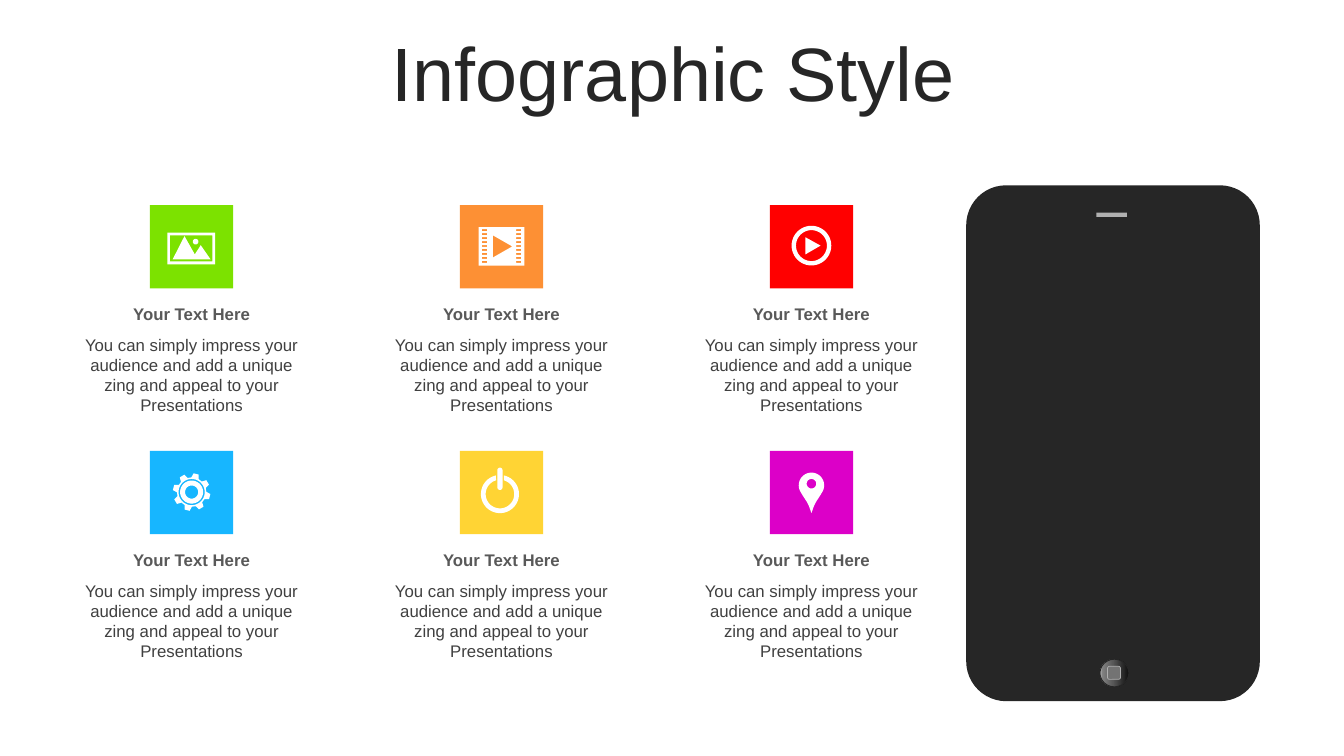
from copy import deepcopy
from math import cos, radians, sin

from pptx import Presentation
from pptx.dml.color import RGBColor
from pptx.enum.shapes import MSO_SHAPE as Preset
from pptx.enum.text import MSO_ANCHOR as Anchor, MSO_AUTO_SIZE as AutoSize, PP_ALIGN as Align
from pptx.util import Cm, Pt

# Colours
WHITE = RGBColor(0xFF, 0xFF, 0xFF)
INK = RGBColor(0x26, 0x26, 0x26)
HEADING = RGBColor(0x59, 0x59, 0x59)
BODY = RGBColor(0x40, 0x40, 0x40)
SILVER = RGBColor(0xB0, 0xB0, 0xB0)
KEY_GREY = RGBColor(0x73, 0x73, 0x73)
GREEN = RGBColor(0x7C, 0xE2, 0x00)
ORANGE = RGBColor(0xFD, 0x90, 0x34)
RED = RGBColor(0xFF, 0x00, 0x00)
BLUE = RGBColor(0x17, 0xB6, 0xFF)
YELLOW = RGBColor(0xFF, 0xD4, 0x34)
MAGENTA = RGBColor(0xDC, 0x00, 0xC8)
BUTTON_STOPS = [
    (0, RGBColor(0x0F, 0x0F, 0x0F)),
    (0.56, RGBColor(0x59, 0x59, 0x59)),
    (0.91, RGBColor(0x80, 0x80, 0x80)),
    (1, RGBColor(0xBF, 0xBF, 0xBF)),
]

# Grid, in centimetres
FIRST_X, FIRST_Y = 4.83, 6.22
STEP_X, STEP_Y = 7.81, 6.19
TILE, TEXT_WIDTH = 2.1, 6.1
HEADING_DROP, BODY_DROP = 1.32, 2.09

BLURB = ("You can simply impress your audience and add a unique "
         "zing and appeal to your Presentations")


# Icon outlines: lists of points in centimetres around the tile centre
def polar(x, y, radius, angle):
    return x + radius * cos(radians(angle)), y + radius * sin(radians(angle))


def arc(x, y, radius, start=0, end=360, steps=48):
    return [polar(x, y, radius, start + (end - start) * i / steps) for i in range(steps + 1)]


def rect(x, y, width, height):
    return [(x + sx * width / 2, y + sy * height / 2)
            for sx, sy in ((-1, -1), (1, -1), (1, 1), (-1, 1))]


def photo_icon():
    hills = [(-0.18, -0.27), (0.08, 0.19), (0.23, -0.04), (0.48, 0.32), (-0.48, 0.32)]
    return [rect(-0.01, 0.04, 1.2, 0.8), rect(-0.01, 0.04, 1.07, 0.66),
            hills, arc(0.1, -0.13, 0.07)]


def film_icon():
    slots = [rect(x, -0.42 + 0.1 * i, 0.13, 0.05) for x in (-0.43, 0.43) for i in range(9)]
    return [rect(0, -0.01, 1.15, 0.97), [(-0.22, -0.29), (0.27, -0.01), (-0.22, 0.27)], *slots]


def play_icon():
    return [arc(0, -0.03, 0.5), arc(0, -0.03, 0.39),
            [(-0.15, -0.24), (0.23, -0.03), (-0.15, 0.19)]]


def gear_icon():
    x, y = 0, -0.01
    tooth = [(-15, 0.37), (-8, 0.475), (8, 0.475), (15, 0.37)]
    teeth = [polar(x, y, radius, 45 * i - 76 + turn) for i in range(8) for turn, radius in tooth]
    return [teeth, *(arc(x, y, radius) for radius in (0.33, 0.29, 0.165))]


def power_icon():
    x, y = -0.04, 0.04
    ring = arc(x, y, 0.48, -78, 258) + arc(x, y, 0.36, 254, -74)
    bar = arc(x, -0.56, 0.065, 180, 360) + arc(x, -0.13, 0.065, 0, 180)
    return [ring, bar]


def pin_icon():
    side = [(0.23, 0.06), (0.12, 0.23), (0.06, 0.35)]
    mirrored = [(-x, y) for x, y in reversed(side)]
    return [arc(0, -0.18, 0.32, 150, 390) + side + [(0, 0.52)] + mirrored,
            arc(0, -0.22, 0.12)]


class SlideBuilder:
    font_name = "Arial"

    def __init__(self, page):
        self.page = page

    def fill_text(self, frame, text, size, color, bold=False, **para_format):
        frame.word_wrap = True
        para = frame.paragraphs[0]
        for name, value in {"alignment": Align.CENTER, **para_format}.items():
            setattr(para, name, value)
        span = para.add_run()
        span.text = text
        for name, value in {"name": self.font_name, "size": Pt(size), "bold": bold}.items():
            setattr(span.font, name, value)
        span.font.color.rgb = color

    def title(self, text, left, top, width, height):
        box = self.page.shapes.title
        place = {"left": left, "top": top, "width": width, "height": height}
        for name, value in place.items():
            setattr(box, name, Cm(value))
        box.text_frame.auto_size = AutoSize.NONE
        box.text_frame.vertical_anchor = Anchor.MIDDLE
        self.fill_text(box.text_frame, text, 54, INK, line_spacing=0.9, space_before=Pt(0))

    def text(self, text, left, top, width, height, color, bold=False):
        box = self.page.shapes.add_textbox(Cm(left), Cm(top), Cm(width), Cm(height))
        self.fill_text(box.text_frame, text, 12, color, bold)

    def shape(self, preset, left, top, width, height, fill=None, line=None, weight=0, radius=None):
        box = self.page.shapes.add_shape(preset, Cm(left), Cm(top), Cm(width), Cm(height))
        self.finish(box, fill, line, weight)
        if radius is not None:
            box.adjustments[0] = radius
        return box

    def finish(self, box, fill, line=None, weight=0):
        box.shadow.inherit = False
        if fill is not None:
            box.fill.solid()
            box.fill.fore_color.rgb = fill
        if line is None:
            box.line.fill.background()
        else:
            box.line.color.rgb = line
            box.line.width = Pt(weight)

    def gradient(self, box, stops, angle):
        box.fill.gradient()
        box.fill.gradient_angle = angle
        first = box.fill.gradient_stops[0]._gs
        stop_list = first.getparent()
        while len(stop_list) < len(stops):
            stop_list.append(deepcopy(first))
        for stop, (position, color) in zip(box.fill.gradient_stops, stops):
            stop.position = position
            stop.color.rgb = color

    def icon(self, outlines, x, y):
        contours = [[(round((x + dx) * 1000), round((y + dy) * 1000)) for dx, dy in outline]
                    for outline in outlines]
        builder = self.page.shapes.build_freeform(*contours[0][0], scale=Cm(0.001))
        for i, contour in enumerate(contours):
            if i:
                builder.move_to(*contour[0])
            builder.add_line_segments(contour[1:], close=True)
        self.finish(builder.convert_to_shape(), WHITE)

    def feature(self, x, y, color, outlines):
        self.shape(Preset.RECTANGLE, x - TILE / 2, y - TILE / 2, TILE, TILE, color)
        self.icon(outlines, x, y)
        left = x - TEXT_WIDTH / 2
        self.text("Your Text Here", left, y + HEADING_DROP, TEXT_WIDTH, 0.77, HEADING, True)
        self.text(BLURB, left, y + BODY_DROP, TEXT_WIDTH, 2.31, BODY)

    def phone(self):
        self.shape(Preset.ROUNDED_RECTANGLE, 24.35, 4.67, 7.4, 13, INK, radius=0.136)
        self.shape(Preset.RECTANGLE, 27.63, 5.36, 0.77, 0.11, SILVER)
        button = self.shape(Preset.OVAL, 27.72, 16.61, 0.73, 0.7, line=INK)
        self.gradient(button, BUTTON_STOPS, 180)
        self.shape(Preset.ROUNDED_RECTANGLE, 27.91, 16.79, 0.33, 0.33, KEY_GREY, SILVER, 0.5)


def main():
    deck = Presentation()
    deck.slide_width, deck.slide_height = Cm(33.87), Cm(19.05)
    builder = SlideBuilder(deck.slides.add_slide(deck.slide_layouts[5]))

    # Phone and title
    builder.phone()
    builder.title("Infographic Style", 0.89, 0.94, 32.16, 2.01)

    # Features, three to a row
    features = [(GREEN, photo_icon), (ORANGE, film_icon), (RED, play_icon),
                (BLUE, gear_icon), (YELLOW, power_icon), (MAGENTA, pin_icon)]
    for i, (color, outline) in enumerate(features):
        row, column = divmod(i, 3)
        builder.feature(FIRST_X + column * STEP_X, FIRST_Y + row * STEP_Y, color, outline())

    deck.save("out.pptx")


if __name__ == "__main__":
    main()
